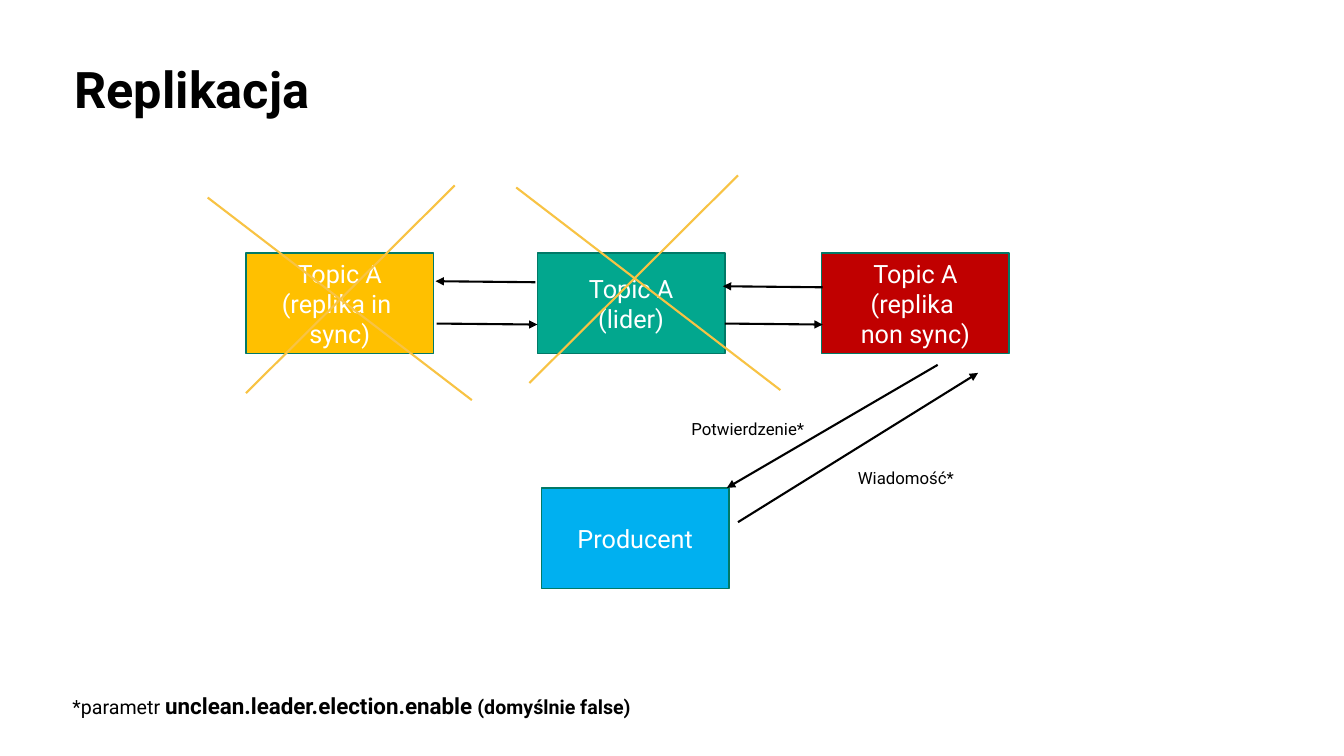
from lxml import etree
from pptx import Presentation
from pptx.dml.color import RGBColor
from pptx.enum.shapes import MSO_CONNECTOR, MSO_SHAPE
from pptx.enum.text import MSO_ANCHOR, PP_ALIGN
from pptx.oxml.ns import qn
from pptx.util import Inches, Pt

STRAIGHT = MSO_CONNECTOR.STRAIGHT
RECTANGLE = MSO_SHAPE.RECTANGLE
CENTER = PP_ALIGN.CENTER
TOP, MIDDLE, BOTTOM = MSO_ANCHOR.TOP, MSO_ANCHOR.MIDDLE, MSO_ANCHOR.BOTTOM

BLACK = RGBColor(0x00, 0x00, 0x00)
WHITE = RGBColor(0xFF, 0xFF, 0xFF)
GREEN = RGBColor(0x02, 0xA7, 0x8E)
DARK_GREEN = RGBColor(0x01, 0x79, 0x67)
AMBER = RGBColor(0xFF, 0xC0, 0x00)
RED = RGBColor(0xC0, 0x00, 0x00)
BLUE = RGBColor(0x00, 0xB0, 0xF0)
CROSS_YELLOW = RGBColor(0xF8, 0xC3, 0x44)

FONT = "Roboto"
SLIDE_W, SLIDE_H = 13.33, 7.5
NODE_W, NODE_H = 1.86, 1
TOPIC_ROW, PRODUCER_ROW = 2.51, 4.84
IN_SYNC_X, LEADER_X, NON_SYNC_X, PRODUCER_X = 2.44, 5.33, 8.15, 5.37

# text, fill, left, top
NODES = [
    ("Topic A\n(lider)", GREEN, LEADER_X, TOPIC_ROW),
    ("Topic A\n(replika in \nsync)", AMBER, IN_SYNC_X, TOPIC_ROW),
    ("Topic A\n(replika \nnon sync)", RED, NON_SYNC_X, TOPIC_ROW),
    ("Producent", BLUE, PRODUCER_X, PRODUCER_ROW),
]

# start point, run across, run down
ARROWS = [
    ((9.3, 3.62), -2.09, 1.22),
    ((7.32, 5.18), 2.38, -1.48),
    ((4.33, 3.21), 1, 0.01),
    ((7.19, 3.21), 0.97, 0.01),
    ((5.31, 2.8), -0.99, -0.01),
    ((8.16, 2.85), -0.99, -0.01),
]

# start of the falling stroke, start of the rising stroke (upper ends)
CROSSES = [
    ((5.12, 1.86), (7.32, 1.74)),
    ((2.06, 1.96), (4.51, 1.84)),
]
CROSS_STROKES = [(2.62, 2.01), (-2.07, 2.06)]

# runs (text, size, bold), box, side inset, anchor
TEXTS = [
    ([("Replikacja", 36, True)], (0.74, 0, 11.84, 1.23), 0, BOTTOM),
    ([("*parametr ", 14, False),
      ("unclean.leader.election.enable", 16, True),
      (" (domyślnie false)", 14, True)], (0.62, 6.82, 7.76, 0.37), 0.1, TOP),
    ([("Wiadomość*", 12, False)], (8.41, 4.59, 3, 0.3), 0.1, TOP),
    ([("Potwierdzenie*", 12, False)], (6.76, 4.11, 3, 0.3), 0.1, TOP),
]


def add_node(slide, text, fill, left, top):
    node = slide.shapes.add_shape(
        RECTANGLE, *map(Inches, (left, top, NODE_W, NODE_H)))
    node.shadow.inherit = False
    node.fill.solid()
    node.fill.fore_color.rgb = fill
    node.line.color.rgb = DARK_GREEN
    node.line.width = Pt(1)
    frame = node.text_frame
    frame.word_wrap = True
    frame.vertical_anchor = MIDDLE
    label = frame.paragraphs[0]
    label.text = text
    label.alignment = CENTER
    label.font.name = FONT
    label.font.size = Pt(18)
    label.font.color.rgb = WHITE


def add_line(slide, start, across, down, color, arrow=False):
    x, y = start
    line = slide.shapes.add_connector(
        STRAIGHT, *map(Inches, (x, y, x + across, y + down)))
    line.line.color.rgb = color
    line.line.width = Pt(1.5)
    if arrow:
        outline = line.line._get_or_add_ln()
        etree.SubElement(outline, qn("a:tailEnd"), type="triangle")
    etree.SubElement(line._element.spPr, qn("a:effectLst"))


def add_text(slide, runs, box, side_inset, anchor):
    frame = slide.shapes.add_textbox(*map(Inches, box)).text_frame
    frame.word_wrap = True
    frame.vertical_anchor = anchor
    frame.margin_left = frame.margin_right = Inches(side_inset)
    paragraph = frame.paragraphs[0]
    paragraph.font.name = FONT
    paragraph.font.color.rgb = BLACK
    for text, size, bold in runs:
        run = paragraph.add_run()
        run.text = text
        run.font.size = Pt(size)
        run.font.bold = bold


def main():
    deck = Presentation()
    deck.slide_width, deck.slide_height = Inches(SLIDE_W), Inches(SLIDE_H)
    slide = deck.slides.add_slide(deck.slide_layouts[6])

    for node in NODES:
        add_node(slide, *node)
    for arrow in ARROWS:
        add_line(slide, *arrow, BLACK, arrow=True)
    for text in TEXTS:
        add_text(slide, *text)
    for starts in CROSSES:
        for start, stroke in zip(starts, CROSS_STROKES):
            add_line(slide, start, *stroke, CROSS_YELLOW)

    deck.save("out.pptx")


if __name__ == "__main__":
    main()
